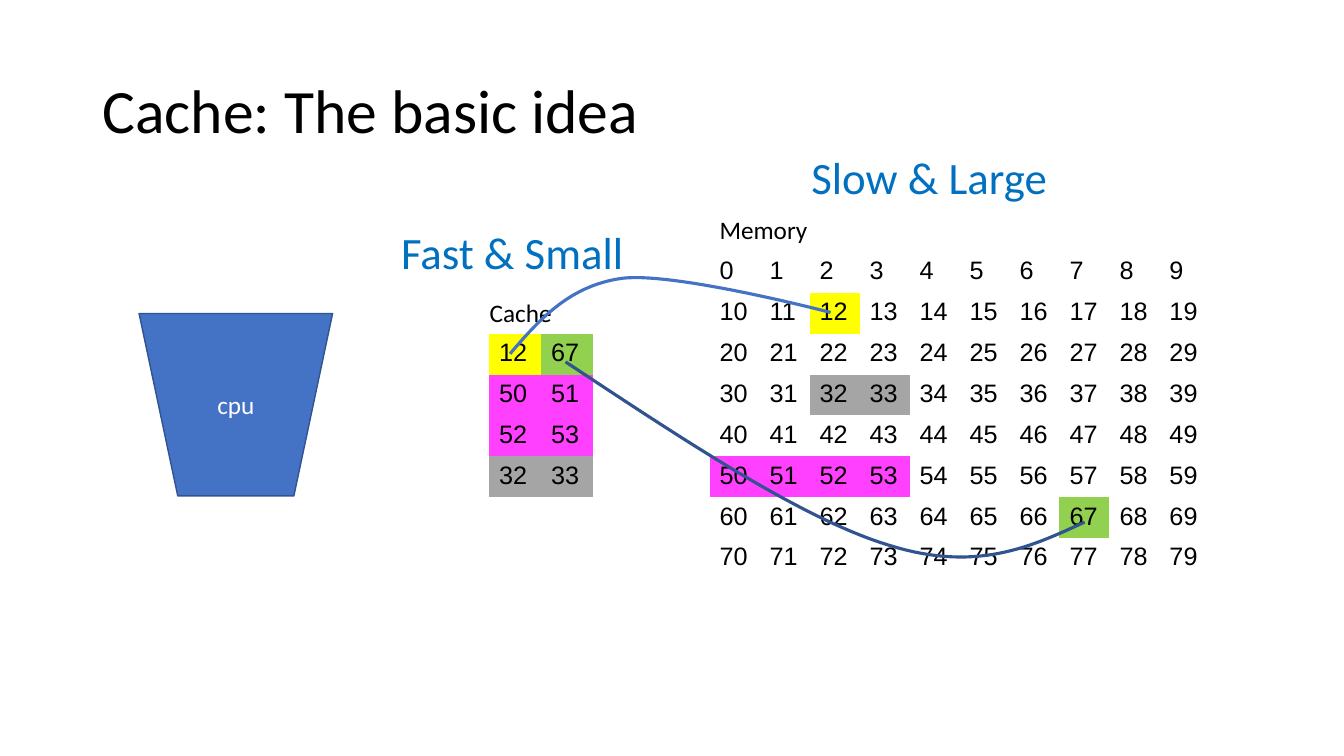
"""Build the slide that explains the basic idea of a cache in front of memory."""
from pptx import Presentation, util as u
from pptx.dml.color import RGBColor
from pptx.enum import shapes, text

THEME = {
    "black": "000000", "white": "FFFFFF", "heading": "0070C0",
    "blue": "4472C4", "navy": "31538F",
    "yellow": "FFFF00", "green": "92D050", "magenta": "FF40FF", "gray": "A5A5A5",
    "face": "Calibri", "digits": "Arial",
    "title": 44, "label": 32, "body": 18,
    "plain_table": "{2D5ABB26-0587-4C30-8999-92F81FD0307C}",
}
HIGHLIGHTS = {12: "yellow", 67: "green", 32: "gray", 33: "gray",
              **dict.fromkeys(range(50, 54), "magenta")}

deck = Presentation()
deck.slide_width, deck.slide_height = u.Inches(13.33), u.Inches(7.5)
slide = deck.slides.add_slide(deck.slide_layouts[6])


def share(*lengths):
    """Turn alternating percentages of slide width and height into lengths."""
    sides = (deck.slide_width, deck.slide_height)
    return [round(sides[i % 2] * length / 100) for i, length in enumerate(lengths)]


def write(frame, words, size="body", color="black", face="face", align=None, spacing=None):
    """Put one formatted paragraph into a text frame."""
    paragraph = frame.paragraphs[0]
    paragraph.alignment = align
    paragraph.line_spacing = spacing
    run = paragraph.add_run()
    run.text = words
    run.font.name = THEME[face]
    run.font.size = u.Pt(THEME[size])
    run.font.color.rgb = RGBColor.from_string(THEME[color])


title = slide.shapes.add_textbox(*share(6.9, 5.33, 86.25, 19.33)).text_frame
title.word_wrap = True
title.vertical_anchor = text.MSO_ANCHOR.MIDDLE
write(title, "Cache: The basic idea", size="title", spacing=0.9)

memory_rows = [range(start, start + 10) for start in range(0, 80, 10)]
cache_rows = [(12, 67), (50, 51), (52, 53), (32, 33)]
row_share = 5.41
for left, top, column_share, rows in ((52.8, 33.33, 3.72, memory_rows),
                                      (36.38, 44.13, 3.87, cache_rows)):
    columns = len(rows[0])
    grid = slide.shapes.add_table(
        len(rows), columns,
        *share(left, top, column_share * columns, row_share * len(rows))).table
    grid.first_row = grid.horz_banding = False
    grid._tbl.tblPr[0].text = THEME["plain_table"]
    for r, addresses in enumerate(rows):
        for c, address in enumerate(addresses):
            cell = grid.cell(r, c)
            if address in HIGHLIGHTS:
                cell.fill.solid()
                cell.fill.fore_color.rgb = RGBColor.from_string(THEME[HIGHLIGHTS[address]])
            else:
                cell.fill.background()
            write(cell.text_frame, str(address), face="digits")

cpu = slide.shapes.add_shape(shapes.MSO_SHAPE.FLOWCHART_MANUAL_OPERATION,
                             *share(10.35, 41.47, 14.4, 24.13))
cpu.shadow.inherit = False
cpu.fill.solid()
cpu.fill.fore_color.rgb = RGBColor.from_string(THEME["blue"])
cpu.line.color.rgb = RGBColor.from_string(THEME["navy"])
cpu.line.width = u.Pt(1)
cpu.text_frame.vertical_anchor = text.MSO_ANCHOR.MIDDLE
write(cpu.text_frame, "cpu", color="white", align=text.PP_ALIGN.CENTER)

for words, place, size, color in (
        ("Memory", (52.8, 27.73, 8.1, 5.33), "body", "black"),
        ("Cache", (35.7, 38.67, 6.6, 5.33), "body", "black"),
        ("Fast & Small", (29.1, 29.07, 21, 8.53), "label", "heading"),
        ("Slow & Large", (59.63, 19.2, 27.3, 8.53), "label", "heading")):
    caption = slide.shapes.add_textbox(*share(*place)).text_frame
    caption.word_wrap = True
    write(caption, words, size=size, color=color)

links = (
    ("blue", [(37.95, 46.8), (40.13, 42.27), (42.38, 37.73), (46.35, 36.8),
              (50.33, 36), (61.8, 41.33), (61.8, 41.33)]),
    ("navy", [(42.08, 47.87), (50.93, 58.27), (59.7, 68.67), (66.15, 72.13),
              (72.6, 75.73), (76.65, 72.4), (80.7, 69.07)]),
)
steps = 30
for color, knots in links:
    trail = []
    for first in (0, 3):
        for step in range(1, steps + 1):
            t = step / steps
            weights = ((1 - t) ** 3, 3 * t * (1 - t) ** 2, 3 * t * t * (1 - t), t ** 3)
            bend = zip(*knots[first:first + 4])
            trail.append(share(*(sum(w * k for w, k in zip(weights, axis)) for axis in bend)))
    builder = slide.shapes.build_freeform(*share(*knots[0]))
    builder.add_line_segments(trail, close=False)
    link = builder.convert_to_shape()
    link.shadow.inherit = False
    link.fill.background()
    link.line.color.rgb = RGBColor.from_string(THEME[color])
    link.line.width = u.Pt(2.25)

deck.save("out.pptx")
